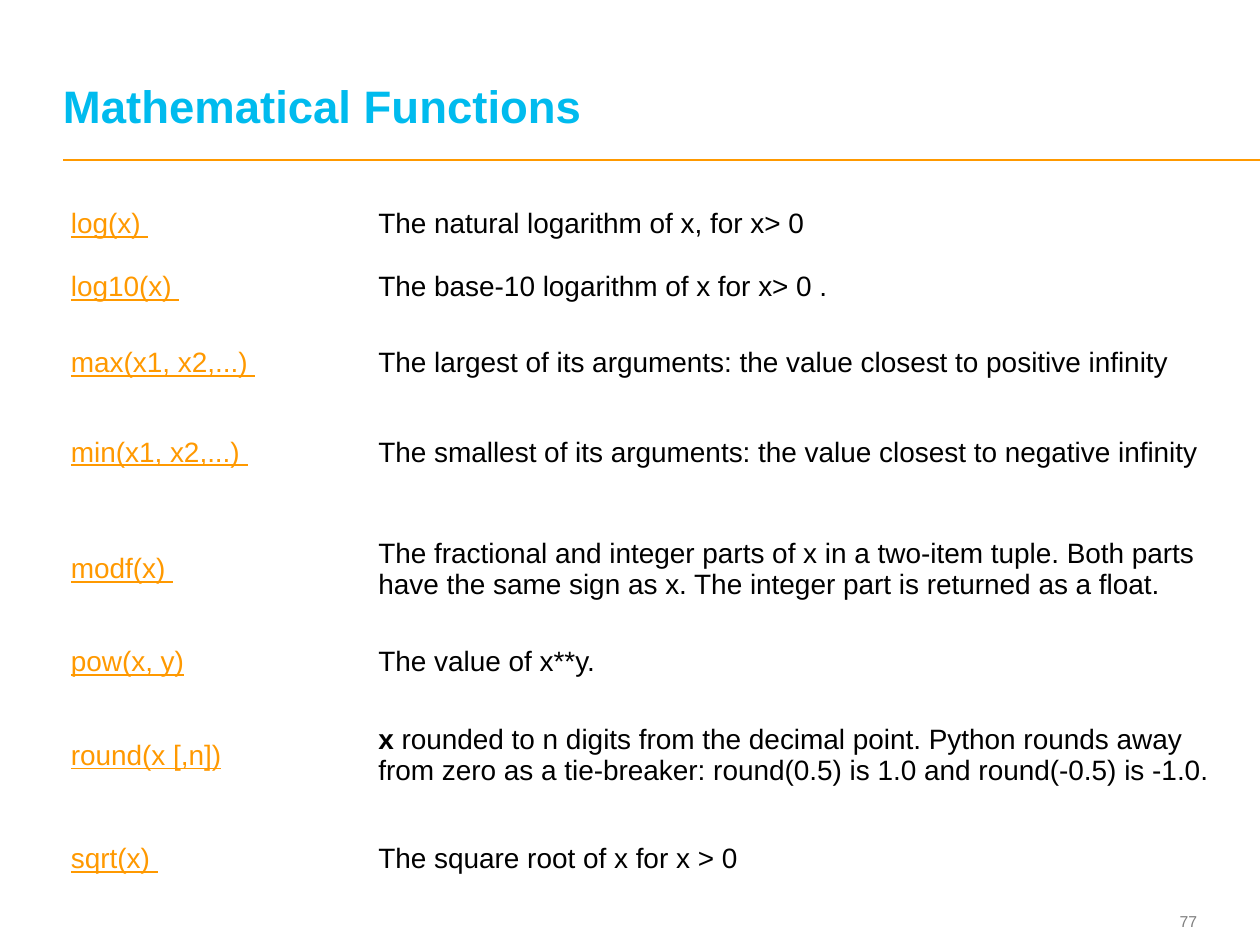
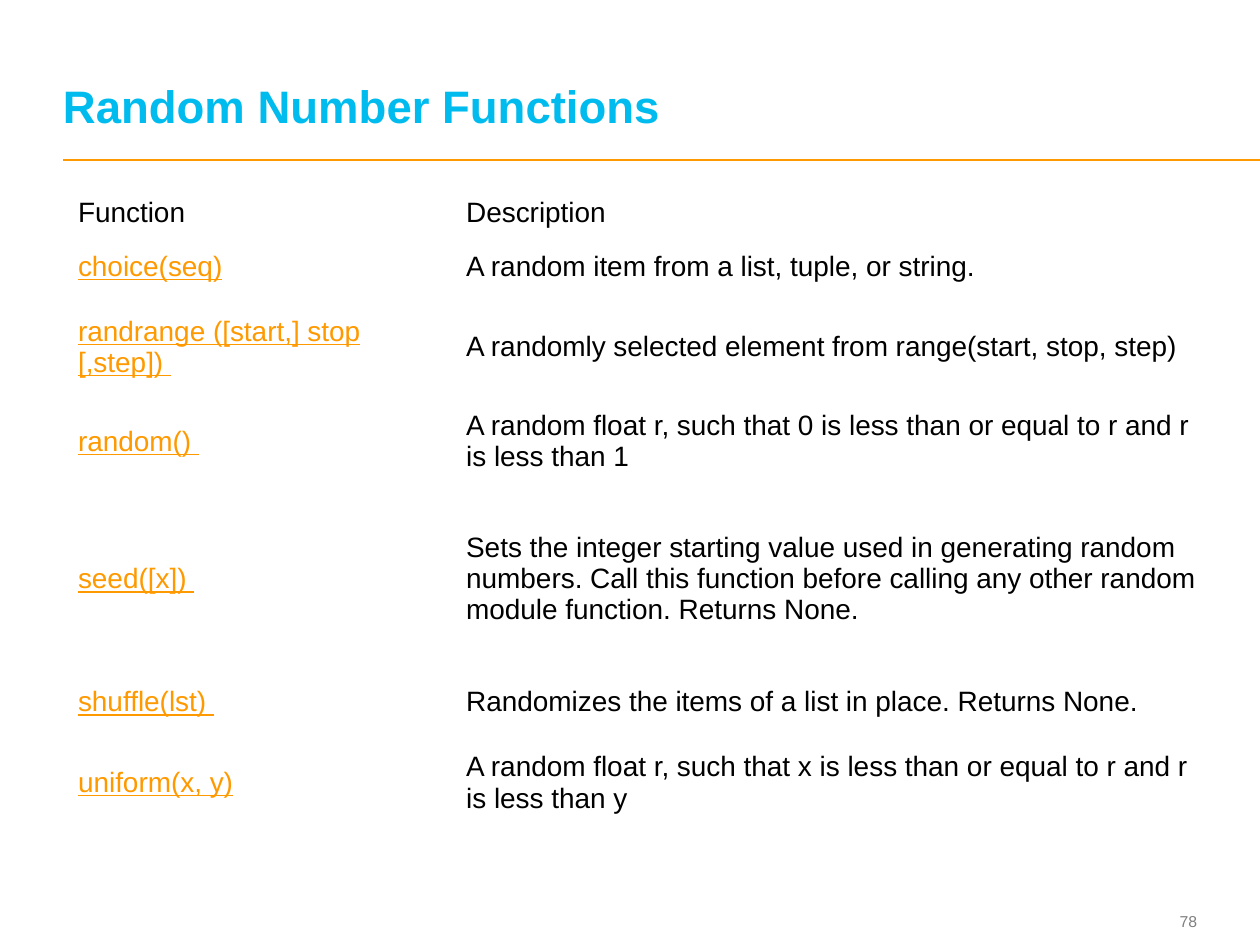
import pptx
import pptx.dml.color
import pptx.enum.shapes
import pptx.enum.text
import pptx.oxml.ns
import pptx.util
from dataclasses import dataclass
from lxml import etree

Pt = pptx.util.Pt
RGB = pptx.dml.color.RGBColor.from_string
ALIGN = pptx.enum.text.PP_ALIGN
ANCHOR = pptx.enum.text.MSO_ANCHOR


@dataclass(frozen=True)
class Theme:
    font: str = "Arial"
    title: str = "00BBEE"
    accent: str = "FF9900"
    body: str = "000000"
    muted: str = "7F7F7F"
    title_size: int = 26
    body_size: int = 16
    number_size: int = 9


theme = Theme()


def add_text(tf, text, size=theme.body_size, color=theme.body, bold=False,
             underline=False, align=ALIGN.LEFT, spacing=None):
    """Append a formatted run to the first paragraph of a text frame."""
    tf.word_wrap = True
    p = tf.paragraphs[0]
    p.alignment = align
    if spacing:
        p.line_spacing = Pt(spacing)
    r = p.add_run()
    r.text = text
    r.font.name = theme.font
    r.font.size = Pt(size)
    r.font.color.rgb = RGB(color)
    r.font.bold = bold
    r.font.underline = underline


def add_box(slide, left, top, width, height, anchor):
    """Add a text box without margins and return its text frame."""
    tf = slide.shapes.add_textbox(Pt(left), Pt(top), Pt(width), Pt(height)).text_frame
    tf.margin_left = tf.margin_top = tf.margin_right = tf.margin_bottom = 0
    tf.vertical_anchor = anchor
    return tf


# Each row: height, function, description, optional bold opening of the description
math_rows = [
    (36, "log(x) ", "The natural logarithm of x, for x> 0"),
    (36, "log10(x) ", "The base-10 logarithm of x for x> 0 ."),
    (51, "max(x1, x2,...) ",
     "The largest of its arguments: the value closest to positive infinity"),
    (51, "min(x1, x2,...) ",
     "The smallest of its arguments: the value closest to negative infinity"),
    (82.2, "modf(x) ",
     "The fractional and integer parts of x in a two-item tuple. Both parts "
     "have the same sign as x. The integer part is returned as a float."),
    (24.5, "pow(x, y)", "The value of x**y."),
    (82.2, "round(x [,n])",
     " rounded to n digits from the decimal point. Python rounds away from zero "
     "as a tie-breaker: round(0.5) is 1.0 and round(-0.5) is -1.0.", "x"),
    (36, "sqrt(x) ", "The square root of x for x > 0"),
]
random_rows = [
    (24, "Function", "Description"),
    (38, "choice(seq)", "A random item from a list, tuple, or string."),
    (54, "randrange ([start,] stop [,step]) ",
     "A randomly selected element from range(start, stop, step)"),
    (54, "random() ",
     "A random float r, such that 0 is less than or equal to r and r is less than 1"),
    (103, "seed([x]) ",
     "Sets the integer starting value used in generating random numbers. Call this "
     "function before calling any other random module function. Returns None."),
    (38, "shuffle(lst) ", "Randomizes the items of a list in place. Returns None."),
    (54, "uniform(x, y)",
     "A random float r, such that x is less than or equal to r and r is less than y"),
]

# Title, page number, table left and top, column widths, side margin, has header, rows
pages = [
    ("Mathematical Functions", 77, 36, 110, (175.7, 483.8), 4.5, False, math_rows),
    ("Random Number Functions", 78, 39.6, 109.4, (221.8, 430.6), 5, True, random_rows),
]

prs = pptx.Presentation()
prs.slide_width, prs.slide_height = Pt(720), Pt(540)

for title, number, left, top, widths, margin, has_header, rows in pages:
    slide = prs.slides.add_slide(prs.slide_layouts[6])

    rule = slide.shapes.add_connector(
        pptx.enum.shapes.MSO_CONNECTOR.STRAIGHT, Pt(36), Pt(91.4), Pt(720), Pt(91.4))
    rule.line.color.rgb = RGB(theme.accent)
    rule.line.width = Pt(1)
    etree.SubElement(rule._element.spPr, pptx.oxml.ns.qn("a:effectLst"))

    add_text(add_box(slide, 641.5, 517, 42.5, 19.4, ANCHOR.MIDDLE), str(number),
             size=theme.number_size, color=theme.muted, align=ALIGN.RIGHT)
    add_text(add_box(slide, 36, 13.7, 645.8, 61.9, ANCHOR.BOTTOM), title,
             size=theme.title_size, color=theme.title, bold=True,
             spacing=theme.title_size)

    table = slide.shapes.add_table(
        len(rows), len(widths), Pt(left), Pt(top),
        Pt(sum(widths)), Pt(sum(row[0] for row in rows))).table
    table.first_row = table.horz_banding = False
    for column, width in zip(table.columns, widths):
        column.width = Pt(width)

    for i, (height, function, description, *lead) in enumerate(rows):
        table.rows[i].height = Pt(height)
        for cell in table.rows[i].cells:
            cell.fill.background()
            cell.vertical_anchor = ANCHOR.MIDDLE
            cell.margin_left = cell.margin_right = Pt(margin)
            cell.margin_top = cell.margin_bottom = Pt(2.4)
        is_header = has_header and i == 0
        add_text(table.cell(i, 0).text_frame, function, underline=not is_header,
                 color=theme.body if is_header else theme.accent)
        for text in lead:
            add_text(table.cell(i, 1).text_frame, text, bold=True)
        add_text(table.cell(i, 1).text_frame, description)

prs.save("out.pptx")
